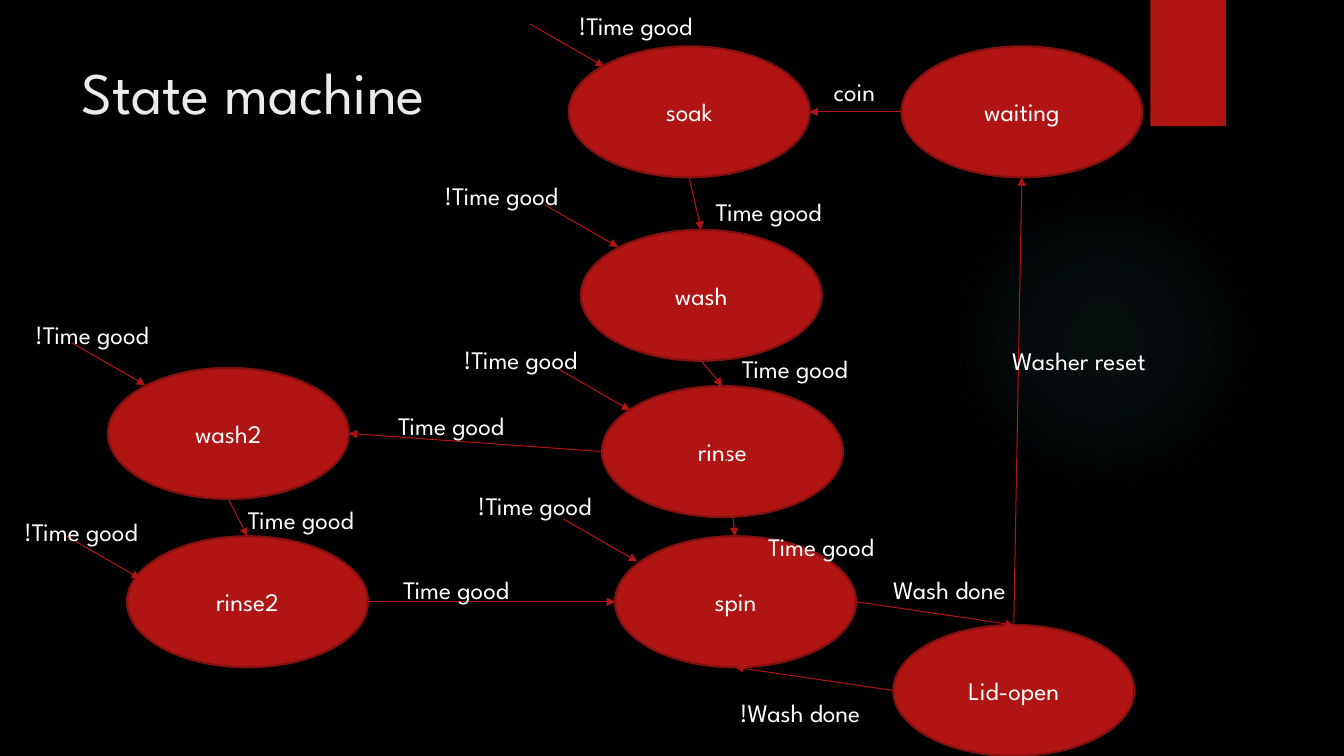
import pptx
import pptx.util
import pptx.dml.color
import pptx.enum.shapes
import pptx.enum.text
import pptx.oxml
import pptx.oxml.ns


class Theme:
    font = "League Spartan"
    back = "000000"
    red = "B01513"
    edge = "82100E"
    glow = "50B9C1"
    head = "EBEBEB"
    text = "FFFFFF"
    big = 42
    body = 18
    rim = 1.5
    thin = 0.75


rgb = pptx.dml.color.RGBColor.from_string
kind = pptx.enum.shapes.MSO_SHAPE
align = pptx.enum.text.PP_ALIGN
anchor = pptx.enum.text.MSO_ANCHOR
fit = pptx.enum.text.MSO_AUTO_SIZE
space = pptx.oxml.ns.nsdecls("a")


def write(shape, text, size=Theme.body, color=Theme.text, side=align.LEFT,
          place=anchor.TOP, wrap=True, auto=fit.NONE):
    frame = shape.text_frame
    frame.word_wrap = wrap
    frame.auto_size = auto
    frame.vertical_anchor = place
    para = frame.paragraphs[0]
    para.alignment = side
    run = para.add_run()
    run.text = text
    run.font.name = Theme.font
    run.font.size = pptx.util.Pt(size)
    run.font.color.rgb = rgb(color)


def arrow(start, end):
    link = slide.shapes.add_connector(
        pptx.enum.shapes.MSO_CONNECTOR.STRAIGHT,
        *map(pptx.util.Inches, start + end))
    link.line.color.rgb = rgb(Theme.red)
    link.line.width = pptx.util.Pt(Theme.thin)
    tail = pptx.oxml.parse_xml(f'<a:tailEnd {space} type="triangle"/>')
    link.line._get_or_add_ln().append(tail)
    link.element.spPr.append(pptx.oxml.parse_xml(f"<a:effectLst {space}/>"))
    return link


# Slide
deck = pptx.Presentation()
deck.slide_width = pptx.util.Inches(13.33)
deck.slide_height = pptx.util.Inches(7.5)
slide = deck.slides.add_slide(deck.slide_layouts[5])
slide.background.fill.solid()
slide.background.fill.fore_color.rgb = rgb(Theme.back)

# Soft glow
glow = slide.shapes.add_shape(
    kind.OVAL, *map(pptx.util.Inches, (9.41, 1.83, 3.08, 3.08)))
glow.shadow.inherit = False
glow.line.fill.background()
stops = "".join(
    f'<a:gs pos="{pos}000"><a:srgbClr val="{Theme.glow}">'
    f'<a:alpha val="{alpha}000"/></a:srgbClr></a:gs>'
    for pos, alpha in ((0, 7), (36, 6), (69, 0)))
glow.element.spPr.find(pptx.oxml.ns.qn("a:prstGeom")).addnext(
    pptx.oxml.parse_xml(
        f'<a:gradFill {space}><a:gsLst>{stops}</a:gsLst><a:path path="circle">'
        '<a:fillToRect l="50000" t="50000" r="50000" b="50000"/>'
        '</a:path></a:gradFill>'))

# Corner tab
tab = slide.shapes.add_shape(
    kind.RECTANGLE, *map(pptx.util.Inches, (11.41, 0, 0.75, 1.25)))
tab.shadow.inherit = False
tab.fill.solid()
tab.fill.fore_color.rgb = rgb(Theme.red)
tab.line.fill.background()
tab.element.spPr.find(pptx.oxml.ns.qn("a:effectLst")).append(
    pptx.oxml.parse_xml(
        f'<a:outerShdw {space} blurRad="{pptx.util.Pt(3)}" '
        f'dist="{pptx.util.Pt(2)}" dir="5400000" rotWithShape="0">'
        '<a:srgbClr val="000000"><a:alpha val="45000"/></a:srgbClr>'
        '</a:outerShdw>'))

# Title
title = slide.shapes.title
title.left, title.top, title.width, title.height = map(
    pptx.util.Inches, (0.71, 0.5, 10.29, 1.53))
write(title, "State machine", size=Theme.big, color=Theme.head)

# States
spots = {
    "waiting": (8.94, 0.46), "soak": (5.64, 0.46), "wash": (5.76, 2.28),
    "rinse": (5.97, 3.83), "spin": (6.1, 5.32), "wash2": (1.07, 3.65),
    "rinse2": (1.26, 5.32), "Lid-open": (8.86, 6.2),
}
states = {}
for name, spot in spots.items():
    state = slide.shapes.add_shape(
        kind.OVAL, *map(pptx.util.Inches, spot + (2.39, 1.3)))
    state.shadow.inherit = False
    state.fill.solid()
    state.fill.fore_color.rgb = rgb(Theme.red)
    state.line.color.rgb = rgb(Theme.edge)
    state.line.width = pptx.util.Pt(Theme.rim)
    write(state, name, side=align.CENTER, place=anchor.MIDDLE)
    states[name] = state

# Moves between states, glued at both ends
top, left, low, right = range(4)
moves = [
    ("waiting", left, "soak", right), ("soak", low, "wash", top),
    ("wash", low, "rinse", top), ("rinse", left, "wash2", right),
    ("rinse2", right, "spin", left), ("wash2", low, "rinse2", top),
    ("Lid-open", left, "spin", low), ("spin", right, "Lid-open", top),
    ("Lid-open", top, "waiting", low),
]
for source, out, target, into in moves:
    link = arrow((0, 0), (1, 1))
    link.begin_connect(states[source], out)
    link.end_connect(states[target], into)
    # An ellipse has eight sites, so each side is every second one
    for end in link.element.iter("{*}stCxn", "{*}endCxn"):
        end.set("idx", str(2 * int(end.get("idx"))))
arrow((7.13, 3.75), (7.29, 5.32))

# Arrows for staying in a state
for x, y in ((5.26, 0.24), (5.4, 2.03), (5.52, 3.65),
             (0.71, 3.4), (0.66, 5.32), (5.59, 5.15)):
    arrow((x, y), (x + 0.73, y + 0.42))

# Conditions: text, width, places
notes = [
    ("coin", 0.63, [(8.17, 0.71)]),
    ("Time good", 1.29, [(7, 1.9), (7.26, 3.46), (3.85, 4.02),
                         (3.9, 5.65), (2.36, 4.95), (7.52, 5.22)]),
    ("!Time good", 1.37, [(5.64, 0.05), (4.31, 1.74), (0.25, 3.12),
                          (4.5, 3.37), (4.64, 4.82), (0.14, 5.07)]),
    ("Wash done", 1.35, [(8.76, 5.65)]),
    ("!Wash done", 1.44, [(7.24, 6.87)]),
    ("Washer reset", 1.56, [(9.94, 3.38)]),
]
for text, width, places in notes:
    for spot in places:
        note = slide.shapes.add_textbox(
            *map(pptx.util.Inches, spot + (width, 0.4)))
        write(note, text, wrap=False, auto=fit.SHAPE_TO_FIT_TEXT)

deck.save("out.pptx")
